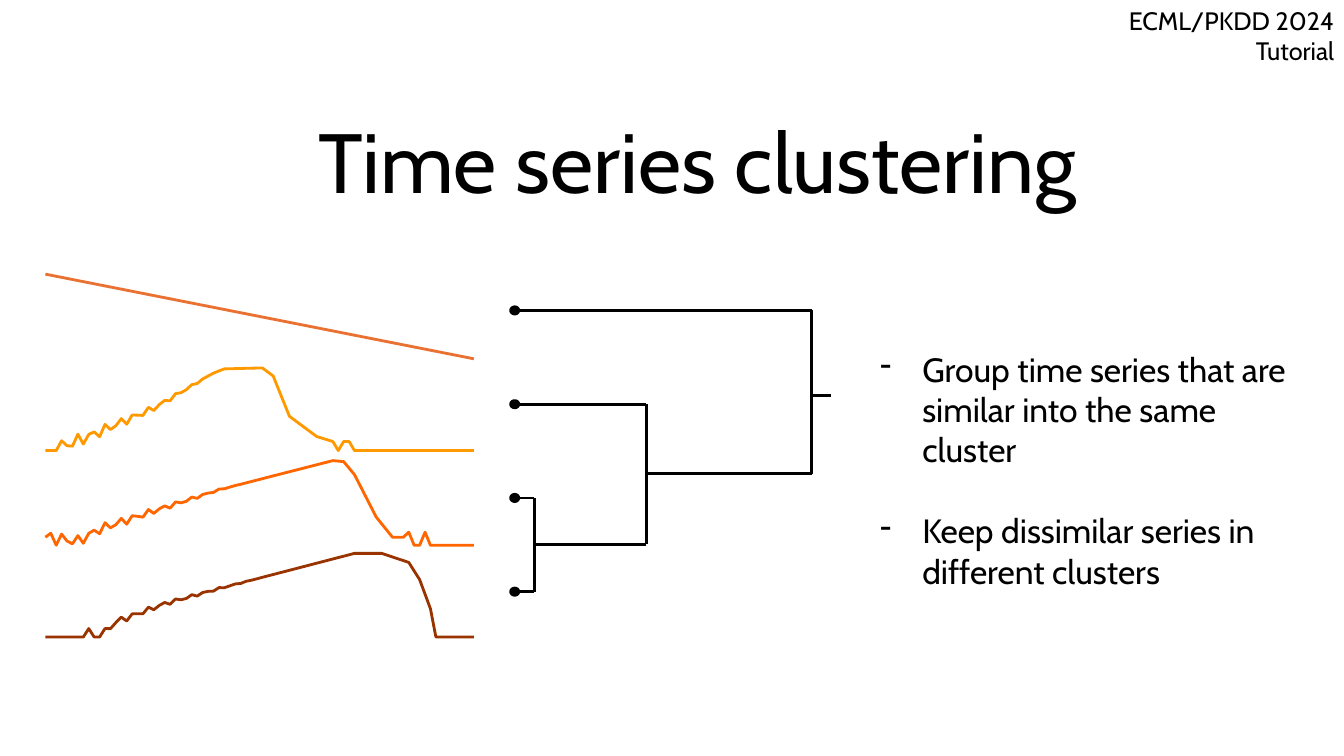
import itertools
import math

import lxml.etree
import pptx
import pptx.dml.color
import pptx.enum.shapes
import pptx.enum.text
import pptx.oxml.ns
import pptx.util

Inches, Pt = pptx.util.Inches, pptx.util.Pt
qn = pptx.oxml.ns.qn
align = pptx.enum.text.PP_ALIGN
anchor = pptx.enum.text.MSO_ANCHOR
kinds = pptx.enum.shapes
hues = {"ink": "000000", "brown": "993300", "flame": "FF6600",
        "gold": "FF9900", "rust": "E97132"}
tones = {name: pptx.dml.color.RGBColor.from_string(code) for name, code in hues.items()}

deck = pptx.Presentation()
deck.slide_width, deck.slide_height = Inches(13.33), Inches(7.5)
slide = deck.slides.add_slide(deck.slide_layouts[6])
shapes = slide.shapes


def write(text, box, size, side=align.LEFT, hold=anchor.TOP, lead=1.0, pad=0.05, mark=None, gap=0):
    frame = shapes.add_textbox(*[Inches(v) for v in box]).text_frame
    frame.word_wrap = True
    frame.vertical_anchor = hold
    frame.margin_top = frame.margin_bottom = Inches(pad)
    frame.text = text
    for n, para in enumerate(frame.paragraphs):
        if mark:
            props = para._p.get_or_add_pPr()
            props.set("marL", str(Inches(0.5)))
            props.set("indent", str(Inches(-0.42)))
            lxml.etree.SubElement(props, qn("a:buChar")).set("char", mark)
        para.alignment = side
        para.line_spacing = lead
        if n:
            para.space_before = Pt(gap)
        para.font.size = Pt(size)
        para.font.name = "Cabin"
        para.font.color.rgb = tones["ink"]


def height(step, knots, noise, calm):
    for (a, low), (b, high) in itertools.pairwise(knots):
        if a <= step <= b:
            base = low + (high - low) * (step - a) / (b - a)
            break
    fade = max(0, 1 - step / calm)
    wave = noise * fade * math.sin(2.4 * step)
    return max(0, base + wave) if base else 0


write("Time series clustering", (0.84, 0.22, 12.15, 1.93), 60,
      side=align.CENTER, hold=anchor.BOTTOM, lead=0.9)
write("ECML/PKDD 2024 Tutorial", (10.31, 0, 3.02, 0.4), 18, side=align.RIGHT)

last, left, width = 79, 0.45, 4.25
unit = 0.01
series = [
    {"hue": "rust", "floor": 3.56, "noise": 0, "calm": 1,
     "knots": [(0, 84), (last, 0)]},
    {"hue": "gold", "floor": 4.47, "noise": 8, "calm": 32,
     "knots": [(0, 0), (1, 0), (8, 14), (20, 42), (31, 77), (33, 81), (40, 82), (42, 74),
               (45, 34), (50, 14), (53, 9), (54, 0), (55, 9), (56, 9), (57, 0), (last, 0)]},
    {"hue": "flame", "floor": 5.41, "noise": 7, "calm": 36,
     "knots": [(0, 8), (6, 4), (10, 16), (20, 34), (32, 55), (53, 84), (55, 83), (57, 70), (61, 28),
               (64, 8), (66, 8), (67, 13), (68, 0), (69, 0), (70, 13), (71, 0), (last, 0)]},
    {"hue": "brown", "floor": 6.32, "noise": 5, "calm": 40,
     "knots": [(0, 0), (7, 0), (8, 7), (9, 0), (10, 0), (13, 15), (22, 33), (32, 48), (57, 83),
               (62, 83), (67, 74), (69, 57), (71, 28), (72, 0), (last, 0)]},
]
for item in series:
    dots = []
    for step in range(last + 1):
        x = left + width * step / last
        rise = height(step, item["knots"], item["noise"], item["calm"])
        dots.append((Inches(x), Inches(item["floor"] - rise * unit)))
    pen = shapes.build_freeform(*dots[0])
    pen.add_line_segments(dots[1:], close=False)
    curve = pen.convert_to_shape()
    curve.shadow.inherit = False
    curve.fill.background()
    curve.line.color.rgb = tones[item["hue"]]
    curve.line.width = Pt(2)

first, pitch = 3.08, 0.93
rows = [first + pitch * n for n in range(len(series))]
wide, tall = 0.05, 0.04
tip, pair, trio, root, end = 5.13, 5.3, 6.41, 8.05, 8.24
for y in rows:
    leaf = shapes.add_shape(kinds.MSO_SHAPE.OVAL, Inches(tip - wide), Inches(y - tall / 2),
                            Inches(wide), Inches(tall))
    leaf.shadow.inherit = False
    leaf.fill.solid()
    leaf.fill.fore_color.rgb = tones["ink"]
    leaf.line.color.rgb = tones["ink"]
    leaf.line.width = Pt(4.25)

joins = [
    {"x": pair, "upper": (tip, rows[2]), "lower": (tip, rows[3])},
    {"x": trio, "upper": (tip, rows[1]), "lower": (pair, 5.4)},
    {"x": root, "upper": (tip, rows[0]), "lower": (trio, 4.7)},
]
links = [(root, 3.92, end, 3.92)]
for join in joins:
    x = join["x"]
    for start, y in (join["upper"], join["lower"]):
        links.append((start, y, x, y))
    links.append((x, join["lower"][1], x, join["upper"][1]))
for ends in links:
    link = shapes.add_connector(kinds.MSO_CONNECTOR.STRAIGHT, *[Inches(v) for v in ends])
    link.line.color.rgb = tones["ink"]
    link.line.width = Pt(2)
    lxml.etree.SubElement(link._element.spPr, qn("a:effectLst"))

write("Group time series that are similar into the same cluster\n"
      "Keep dissimilar series in different clusters",
      (8.55, 3.36, 4.44, 2.63), 24, pad=0.1, mark="-", gap=29)

deck.save("out.pptx")
